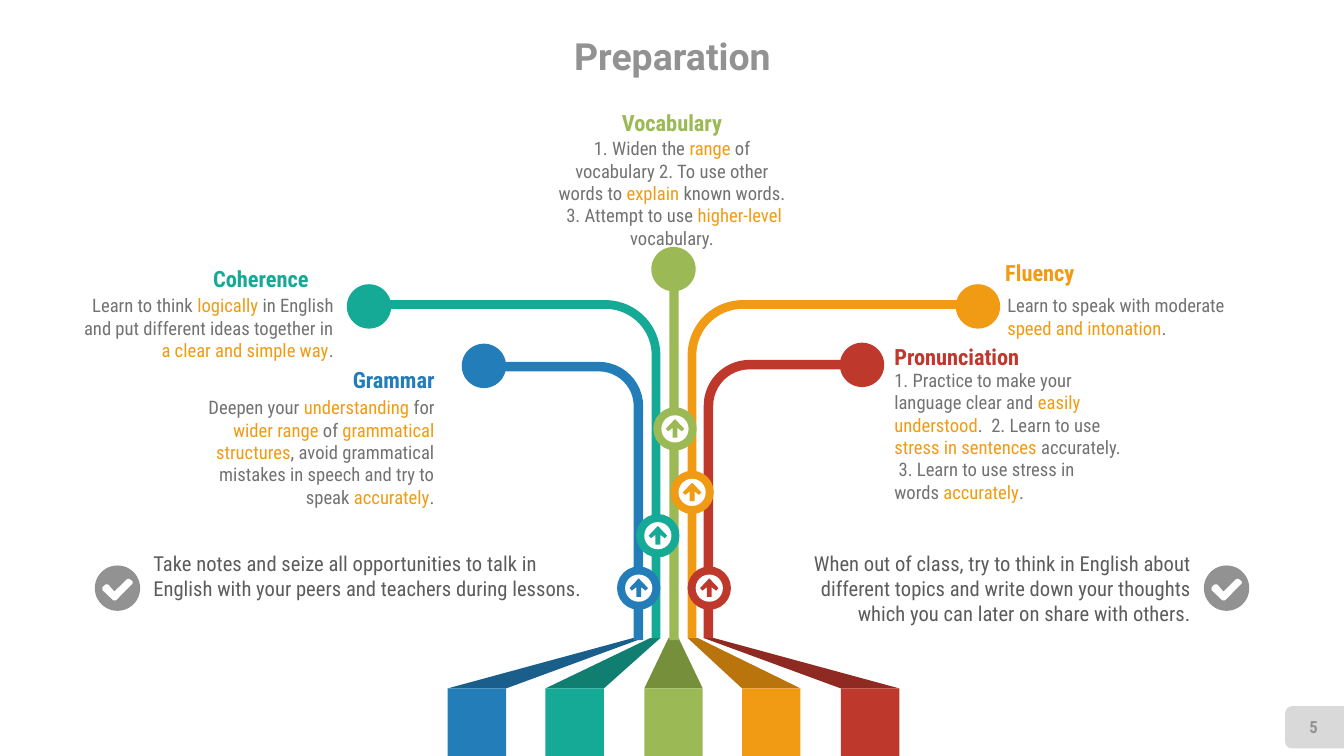
from pptx import Presentation
from pptx.dml.color import RGBColor
from pptx.enum.shapes import MSO_SHAPE as Shape
from pptx.enum.text import MSO_ANCHOR as Anchor, MSO_AUTO_SIZE as AutoSize, PP_ALIGN as Align
from pptx.oxml.ns import qn
from pptx.util import Pt

PX = 9144  # EMU in one px, 100 px to the inch
FINE = PX / 10  # EMU in one unit of the icon outlines
PAGE_WIDTH, PAGE_HEIGHT = 1333, 750

BLUE, DARK_BLUE = RGBColor(0x23, 0x7D, 0xB9), RGBColor(0x1A, 0x5E, 0x8B)
TEAL, DARK_TEAL = RGBColor(0x15, 0xAA, 0x96), RGBColor(0x10, 0x7F, 0x71)
GREEN, DARK_GREEN = RGBColor(0x9B, 0xB9, 0x55), RGBColor(0x76, 0x8F, 0x3B)
ORANGE, DARK_ORANGE = RGBColor(0xF1, 0x9B, 0x14), RGBColor(0xB9, 0x75, 0x0B)
RED, DARK_RED = RGBColor(0xBE, 0x38, 0x2C), RGBColor(0x8E, 0x2A, 0x21)
WHITE = RGBColor(0xFF, 0xFF, 0xFF)
PALE_GREY = RGBColor(0xD9, 0xD9, 0xD9)
GREY = RGBColor(0x92, 0x92, 0x92)
BODY_GREY = RGBColor(0x72, 0x72, 0x72)
NOTE_GREY = RGBColor(0x5C, 0x5C, 0x5C)

CONDENSED = "Roboto Condensed"

# colour, shaded colour, left end of the slope's narrow top
PILLARS = [
    (BLUE, DARK_BLUE, 628),
    (TEAL, DARK_TEAL, 645),
    (GREEN, DARK_GREEN, 663),
    (ORANGE, DARK_ORANGE, 682),
    (RED, DARK_RED, 698),
]
# colour, left, top, width, height, thickness, corner radius, mirrored
BRANCHES = [
    (RED, 698, 353, 157, 280, 0.06, 0.29, False),
    (BLUE, 481, 355, 157, 280, 0.06, 0.28, True),
    (TEAL, 367, 286, 288, 347, 0.03, 0.19, True),
    (ORANGE, 682, 286, 288, 347, 0.03, 0.19, False),
]
# colour, left, top
BULBS = [(TEAL, 344, 282), (BLUE, 458, 341), (RED, 833, 340),
         (ORANGE, 948, 282), (GREEN, 646, 245)]
RINGS = [(BLUE, 612, 562), (TEAL, 631, 510), (GREEN, 648, 404),
         (RED, 682, 562), (ORANGE, 665, 467)]

# heading, colour, alignment, heading left and top, body box, body (stars mark highlights)
TOPICS = [
    ("Coherence", TEAL, Align.RIGHT, 81, 263, (81, 292, 250, 67),
     "Learn to think *logically* in English and put different ideas together in "
     "*a clear and simple way*."),
    ("Grammar", BLUE, Align.RIGHT, 206, 363, (206, 393, 225, 112),
     "Deepen your *understanding* for *wider range *of *grammatical structures*, "
     "avoid grammatical mistakes in speech and try to speak *accurately*."),
    ("Pronunciation", RED, Align.LEFT, 887, 340, (887, 366, 225, 135),
     "1. Practice to make your language clear and *easily understood*.  2. Learn to use "
     "*stress in sentences *accurately.  3. Learn to use stress in words *accurately*."),
    ("Fluency", ORANGE, Align.LEFT, 997, 257, (999, 292, 225, 45),
     "Learn to speak with moderate *speed and intonation*."),
    ("Vocabulary", GREEN, Align.CENTER, 554, 108, (554, 136, 225, 112),
     "1. Widen the *range* of vocabulary 2. To use other words to *explain* known words.  "
     "3. Attempt to use *higher-level *vocabulary."),
]
# text box, alignment, left of the badge, text
NOTES = [
    ((152, 547, 431, 49), Align.LEFT, 94,
     "Take notes and seize all opportunities to talk in English with your peers "
     "and teachers during lessons."),
    ((794, 547, 387, 74), Align.RIGHT, 1194,
     "When out of class, try to think in English about different topics and write down "
     "your thoughts which you can later on share with others."),
]

# icon outlines around their centre, in tenths of a px
ARROW = [(0, -97), (92, 0), (68, 25), (24, -10), (24, 88),
         (-24, 88), (-24, -10), (-68, 25), (-92, 0)]
TICK = [(152, -48), (150, -68), (120, -92), (95, -90), (-30, 35), (-90, -35),
        (-115, -38), (-148, -10), (-148, 20), (-40, 122), (-15, 122)]


def paint(shape, colour):
    shape.shadow.inherit = False
    shape.fill.solid()
    shape.fill.fore_color.rgb = colour
    shape.line.fill.background()


def add_preset(page, kind, box, colour):
    shape = page.shapes.add_shape(kind, *(PX * length for length in box))
    paint(shape, colour)
    return shape


def add_outline(page, points, colour, centre=(0, 0), scale=PX):
    """Draw a closed polygon whose points are measured from centre (in px)."""
    builder = page.shapes.build_freeform(*points[0], scale=scale)
    builder.add_line_segments(points[1:])
    paint(builder.convert_to_shape(*(round(PX * length) for length in centre)), colour)


def add_text(page, box, text, size, colour, align, bold=False, font=CONDENSED):
    """Add a text box; parts of text between stars become orange."""
    shape = page.shapes.add_textbox(*(PX * length for length in box))
    frame = shape.text_frame
    frame.word_wrap = True
    frame.auto_size = AutoSize.SHAPE_TO_FIT_TEXT
    frame.margin_left = frame.margin_right = frame.margin_top = frame.margin_bottom = 0
    para = frame.paragraphs[0]
    para.alignment = align
    para.font.name, para.font.size, para.font.bold = font, Pt(size), bold
    para.font.color.rgb = colour
    for index, part in enumerate(text.split("*")):
        span = para.add_run()
        span.text = part
        if index % 2:
            span.font.color.rgb = ORANGE
    return frame


def add_centred_line(page, box, text, size, font):
    frame = add_text(page, box, text, size, GREY, Align.CENTER, True, font)
    frame.auto_size = AutoSize.NONE
    frame.vertical_anchor = Anchor.MIDDLE


def add_pillar(page, index, colour, shade, top_left):
    left, top, width = 444 + index * 195 // 2, 683, 58
    slope = [(top_left, 633), (left, top), (left + width, top), (top_left + 10, 633)]
    add_outline(page, slope, shade)
    add_preset(page, Shape.RECTANGLE, (left, top, width, PAGE_HEIGHT - top), colour)


def add_branch(page, colour, left, top, width, height, thickness, radius, mirrored):
    branch = add_preset(page, Shape.BENT_ARROW, (left, top, width, height), colour)
    for index, value in enumerate((thickness, 0.056, 0, radius)):
        branch.adjustments[index] = value
    if mirrored:
        branch.element.spPr.find(qn("a:xfrm")).set("flipH", "1")


def add_disc(page, left, top, size, colour):
    add_preset(page, Shape.OVAL, (left, top, size, size), colour)
    return left + size / 2, top + size / 2


def add_ring(page, colour, left, top):
    add_disc(page, left, top, 43, colour)
    centre = add_disc(page, left + 8, top + 8, 27, WHITE)
    add_outline(page, ARROW, colour, centre, FINE)


def add_topic(page, heading, colour, align, left, top, body_box, body):
    add_text(page, (left, top, 225, 27), heading, 16, colour, align, True)
    add_text(page, body_box, body, 13.3, BODY_GREY, align)


def add_note(page, box, align, badge_left, text):
    add_text(page, box, text, 14.7, NOTE_GREY, align)
    centre = add_disc(page, badge_left, 561, 45, GREY)
    add_outline(page, TICK, WHITE, centre, FINE)


def main():
    deck = Presentation()
    deck.slide_width, deck.slide_height = PX * PAGE_WIDTH, PX * PAGE_HEIGHT
    page = deck.slides.add_slide(deck.slide_layouts[6])

    tab = add_preset(page, Shape.ROUND_2_SAME_RECTANGLE, (1283, 692, 42, 59), PALE_GREY)
    tab.rotation = 270
    add_centred_line(page, (256, 29, 822, 52), "Preparation", 26.7, "Roboto")
    add_centred_line(page, (1275, 701, 56, 40), "5", 12, CONDENSED)

    for index, pillar in enumerate(PILLARS):
        add_pillar(page, index, *pillar)
    for branch in BRANCHES:
        add_branch(page, *branch)
    add_preset(page, Shape.RECTANGLE, (664, 265, 9, 370), GREEN)
    for colour, left, top in BULBS:
        add_disc(page, left, top, 44, colour)
    for topic in TOPICS:
        add_topic(page, *topic)
    for ring in RINGS:
        add_ring(page, *ring)
    for note in NOTES:
        add_note(page, *note)

    deck.save("out.pptx")


if __name__ == "__main__":
    main()
